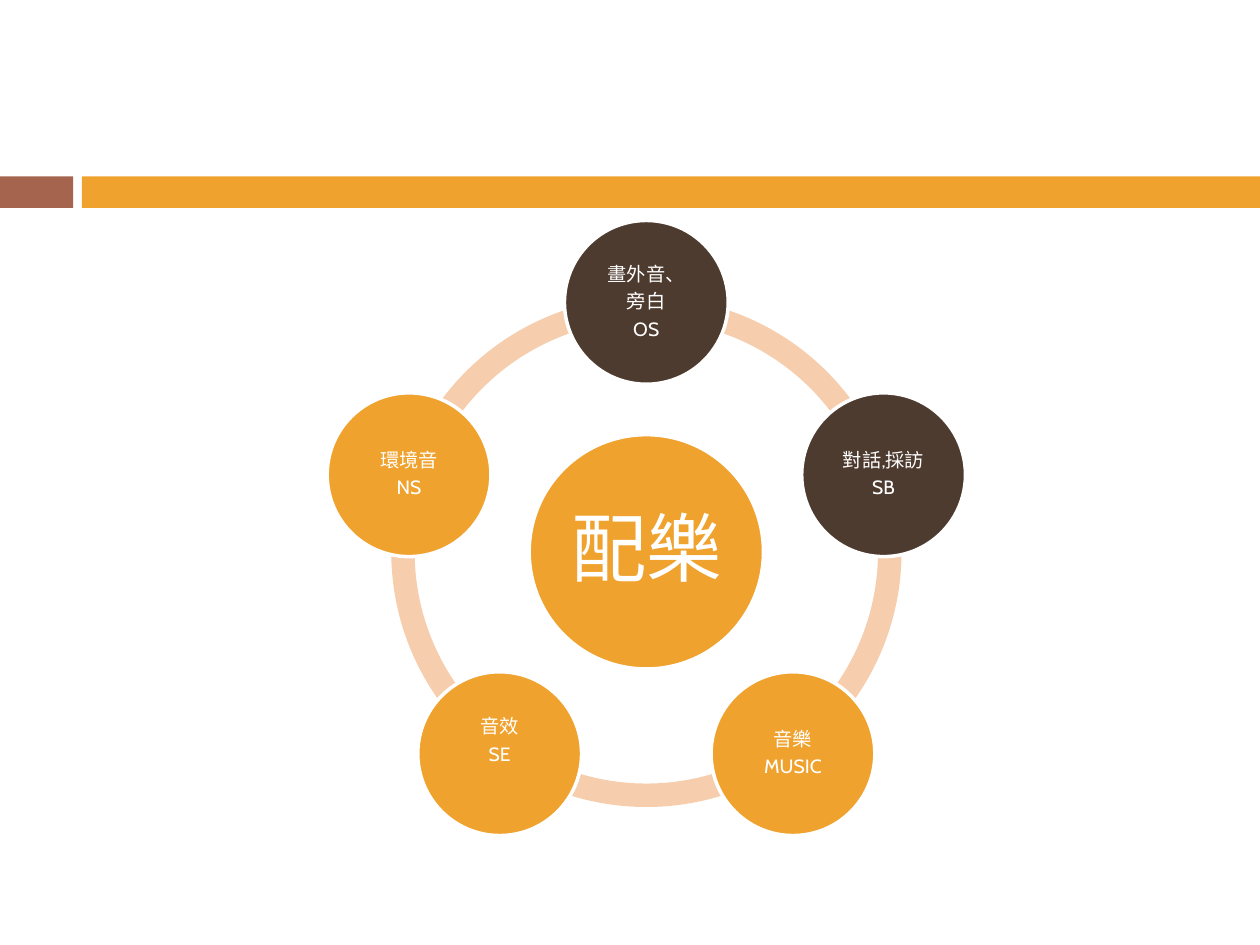
from dataclasses import dataclass
from math import cos, radians, sin

from pptx import Presentation
from pptx.dml.color import RGBColor as RGB
from pptx.enum.shapes import MSO_SHAPE as Shape
from pptx.enum.text import MSO_ANCHOR as Anchor, PP_ALIGN as Align
from pptx.util import Inches, Pt


@dataclass(frozen=True)
class Theme:
    gold: str = "F0A22E"
    rust: str = "A5644E"
    brown: str = "4E3B30"
    peach: str = "F6CEAD"
    white: str = "FFFFFF"
    font: str = "Cabin"
    large: int = 43
    small: int = 11


class Deck:
    def __init__(self, theme):
        self.theme = theme
        self.prs = Presentation()
        self.prs.slide_width = Inches(10)
        self.prs.slide_height = Inches(7.5)
        self.slide = self.prs.slides.add_slide(self.prs.slide_layouts[6])

    def shape(self, kind, box, fill):
        item = self.slide.shapes.add_shape(kind, *map(Inches, box))
        item.shadow.inherit = False
        item.fill.solid()
        item.fill.fore_color.rgb = RGB.from_string(fill)
        item.line.fill.background()
        return item

    def bar(self, left, width, fill):
        self.shape(Shape.RECTANGLE, (left, 1.4, width, 0.25), fill)

    def arc(self, x, y, size, start, end):
        box = (x - size / 2, y - size / 2, size, size)
        item = self.shape(Shape.BLOCK_ARC, box, self.theme.peach)
        for spot, value in enumerate((start, end, 0.046)):
            item.adjustments[spot] = value

    def disc(self, x, y, size, fill, lines, points, pad, lift=0):
        box = (x - size / 2, y - size / 2, size, size)
        item = self.shape(Shape.OVAL, box, fill)
        item.line.color.rgb = RGB.from_string(self.theme.white)
        item.line.width = Pt(2)
        frame = item.text_frame
        style = {
            "word_wrap": False,
            "vertical_anchor": Anchor.MIDDLE,
            "margin_left": Inches(pad),
            "margin_right": Inches(pad),
            "margin_top": Inches(pad),
            "margin_bottom": Inches(pad + lift),
        }
        for name, value in style.items():
            setattr(frame, name, value)
        for spot, line in enumerate(lines):
            para = frame.add_paragraph() if spot else frame.paragraphs[0]
            self.label(para, line, points)

    def label(self, para, line, points):
        style = {
            "alignment": Align.CENTER,
            "line_spacing": 0.9,
            "space_after": Pt(points * 0.35),
        }
        for name, value in style.items():
            setattr(para, name, value)
        run = para.add_run()
        run.text = line
        for name, value in {"name": self.theme.font, "size": Pt(points)}.items():
            setattr(run.font, name, value)
        run.font.color.rgb = RGB.from_string(self.theme.white)


def main():
    theme = Theme()
    deck = Deck(theme)
    deck.bar(0, 0.58, theme.rust)
    deck.bar(0.65, 9.35, theme.gold)

    x, y, reach = 5.13, 4.38, 1.98
    nodes = [
        (["畫外音、", "旁白", "OS"], theme.brown, 0),
        (["對話,採訪", "SB"], theme.brown, 0),
        (["音樂", "MUSIC"], theme.gold, 0),
        (["音效", "SE"], theme.gold, 0.2),
        (["環境音", "NS"], theme.gold, 0),
    ]
    turn, step = 216, 43.2
    for spot in range(len(nodes)):
        start = (118.8 - step * spot) % turn
        deck.arc(x, y, 4.05, start, (start + step) % turn)

    deck.disc(x, y, 1.86, theme.gold, ["配樂"], theme.large, 0.06)
    for spot, (lines, fill, lift) in enumerate(nodes):
        angle = radians(360 / len(nodes) * spot)
        deck.disc(x + reach * sin(angle), y - reach * cos(angle), 1.3,
                  fill, lines, theme.small, 0.02, lift)
    deck.prs.save("out.pptx")


if __name__ == "__main__":
    main()
